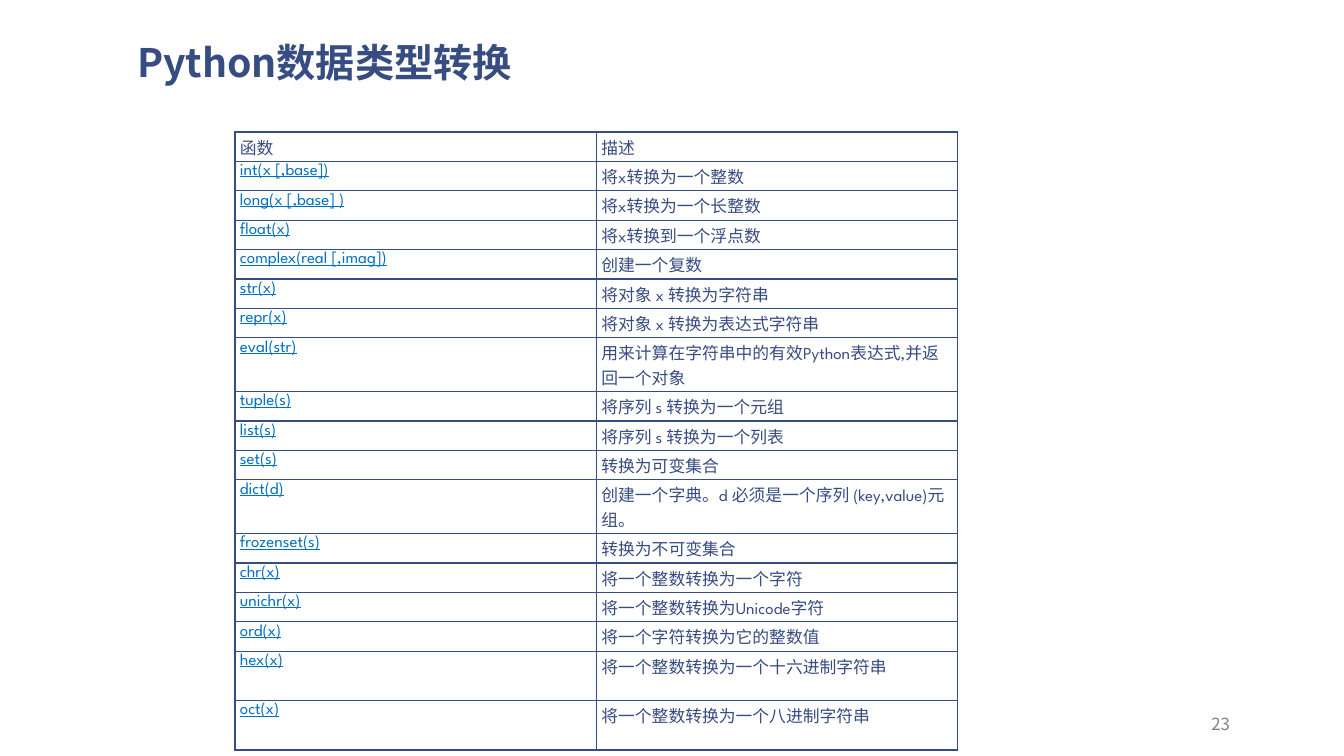
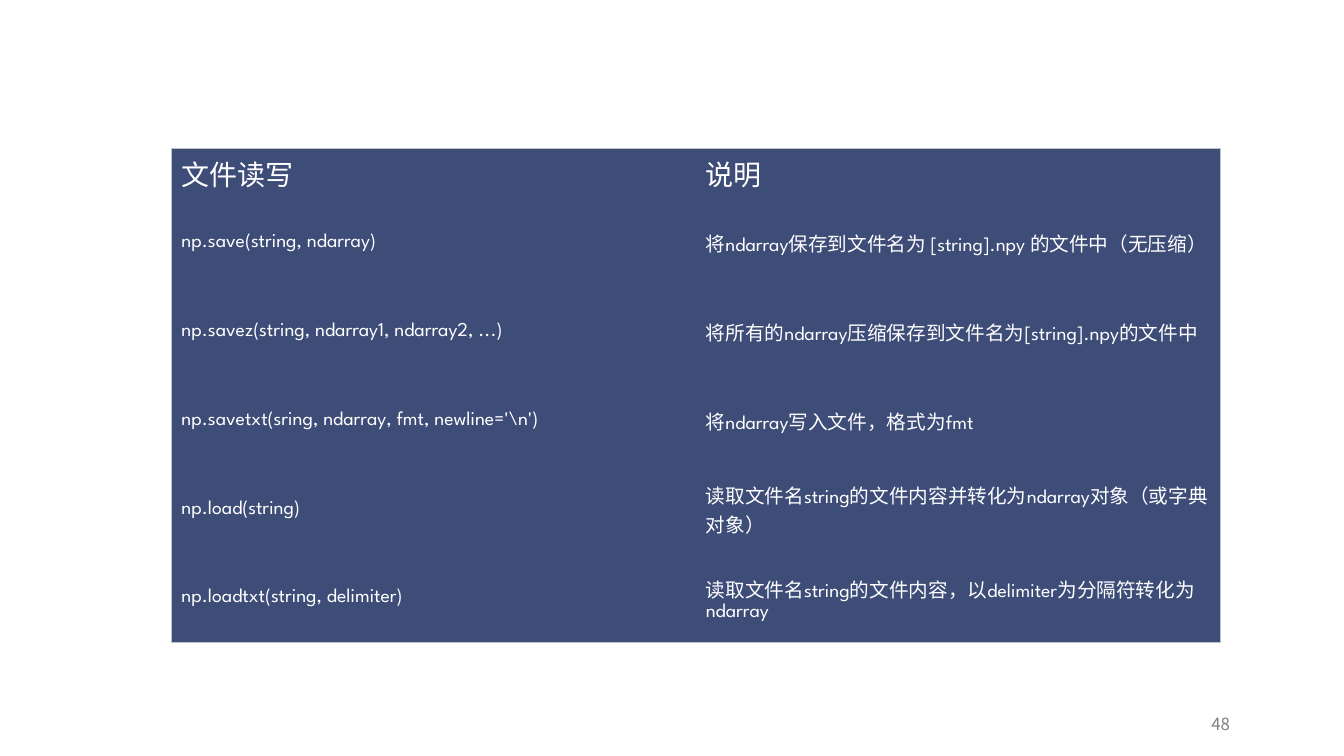
from dataclasses import dataclass

from lxml.etree import SubElement
from pptx import Presentation
from pptx.dml.color import RGBColor
from pptx.enum.text import MSO_ANCHOR as Anchor, MSO_AUTO_SIZE as AutoSize, PP_ALIGN as Align
from pptx.oxml.ns import qn
from pptx.util import Inches, Pt


@dataclass(frozen=True)
class Theme:
    navy: str = "374C81"
    panel: str = "3E4C78"
    link: str = "0070C0"
    white: str = "FFFFFF"
    edge: str = "C0C2CA"
    grey: str = "808080"
    latin: str = "League Spartan"
    cjk: str = "Noto Sans CJK SC"
    title: int = 28
    header: int = 20
    body: int = 14
    small: int = 12


T = Theme()
NO_GRID_STYLE = "{2D5ABB26-0587-4C30-8999-92F81FD0307C}"
TITLE_BOX = (1.23, 0.21, 11.11, 0.71)
NUMBER_BOX = (11.12, 7, 1.21, 0.35)

CONVERSIONS = [
    ("函数", "描述"),
    ("int(x [,base])", "将x转换为一个整数"),
    ("long(x [,base] )", "将x转换为一个长整数"),
    ("float(x)", "将x转换到一个浮点数"),
    ("complex(real [,imag])", "创建一个复数"),
    ("str(x)", "将对象 x 转换为字符串"),
    ("repr(x)", "将对象 x 转换为表达式字符串"),
    ("eval(str)", "用来计算在字符串中的有效Python表达式,并返回一个对象"),
    ("tuple(s)", "将序列 s 转换为一个元组"),
    ("list(s)", "将序列 s 转换为一个列表"),
    ("set(s)", "转换为可变集合"),
    ("dict(d)", "创建一个字典。d 必须是一个序列 (key,value)元组。"),
    ("frozenset(s)", "转换为不可变集合"),
    ("chr(x)", "将一个整数转换为一个字符"),
    ("unichr(x)", "将一个整数转换为Unicode字符"),
    ("ord(x)", "将一个字符转换为它的整数值"),
    ("hex(x)", "将一个整数转换为一个十六进制字符串"),
    ("oct(x)", "将一个整数转换为一个八进制字符串"),
]
TALL_ROWS = {"eval(str)", "dict(d)", "hex(x)", "oct(x)"}

FILE_IO = [
    ("文件读写", "说明"),
    ("np.save(string, ndarray)", "将ndarray保存到文件名为 [string].npy 的文件中（无压缩）"),
    ("np.savez(string, ndarray1, ndarray2, ...)", "将所有的ndarray压缩保存到文件名为[string].npy的文件中"),
    ("np.savetxt(sring, ndarray, fmt, newline='\\n')", "将ndarray写入文件，格式为fmt"),
    ("np.load(string)", "读取文件名string的文件内容并转化为ndarray对象（或字典对象）"),
    ("np.loadtxt(string, delimiter)", "读取文件名string的文件内容，以delimiter为分隔符转化为ndarray"),
]


def rgb(color):
    return RGBColor.from_string(color)


def write(tf, text, size=T.small, color=T.navy, font=T.latin, bold=False,
          underline=False, align=Align.LEFT, spacing=None):
    p = tf.paragraphs[0]
    p.alignment = align
    if spacing:
        p.line_spacing = spacing
    r = p.add_run()
    r.text = text
    f = r.font
    f.name, f.size, f.bold, f.underline = font, Pt(size), bold, underline
    f.color.rgb = rgb(color)
    SubElement(r._r.get_or_add_rPr(), qn("a:ea")).set("typeface", T.cjk)


def set_frame(s, box):
    s.left, s.top, s.width, s.height = map(Inches, box)
    tf = s.text_frame
    tf.word_wrap = True
    tf.auto_size = AutoSize.NONE
    tf.vertical_anchor = Anchor.BOTTOM
    tf.margin_left = tf.margin_right = Inches(0.13)
    tf.margin_top = tf.margin_bottom = Inches(0.07)
    return tf


def add_title(slide, text):
    write(set_frame(slide.shapes.title, TITLE_BOX), text, size=T.title,
          font=T.cjk, bold=True, spacing=0.85)


def add_number(slide, number):
    s = slide.shapes.add_textbox(*map(Inches, NUMBER_BOX))
    write(set_frame(s, NUMBER_BOX), str(number), color=T.grey, font=T.cjk, align=Align.RIGHT)


def set_borders(cell, sides, color, width):
    tcPr = cell._tc.get_or_add_tcPr()
    for side in "LRTB":
        ln = SubElement(tcPr, qn(f"a:ln{side}"), w=str(Pt(width)))
        if side in sides:
            fill = SubElement(ln, qn("a:solidFill"))
            SubElement(fill, qn("a:srgbClr"), val=color)
        else:
            SubElement(ln, qn("a:noFill"))


def add_grid(slide, box, heights, pad):
    frame = slide.shapes.add_table(len(heights), 2, *map(Inches, box))
    table = frame.table
    table.first_row = table.horz_banding = False
    table._tbl.tblPr.find(qn("a:tableStyleId")).text = NO_GRID_STYLE
    for col in table.columns:
        col.width = Inches(box[2] / 2)
    for row, height in zip(table.rows, heights):
        row.height = Inches(height)
    for cell in table.iter_cells():
        cell.margin_left = cell.margin_right = Inches(pad)
        cell.margin_top = cell.margin_bottom = Inches(pad / 2)
    return table


def add_conversion_table(slide, box):
    heights = [0.49 if name in TALL_ROWS else 0.27 for name, _ in CONVERSIONS]
    table = add_grid(slide, box, heights, 0.05)
    for i, texts in enumerate(CONVERSIONS):
        for j, text in enumerate(texts):
            cell = table.cell(i, j)
            linked = i > 0 and j == 0
            set_borders(cell, "LRTB", T.navy, 1)
            cell.fill.background()
            cell.vertical_anchor = Anchor.TOP if i else Anchor.MIDDLE
            write(cell.text_frame, text, color=T.link if linked else T.navy, underline=linked)


def add_file_table(slide, box):
    last = len(FILE_IO) - 1
    table = add_grid(slide, box, [0.49] + [0.88] * last, 0.1)
    for i, texts in enumerate(FILE_IO):
        for j, text in enumerate(texts):
            cell = table.cell(i, j)
            sides = "LR"[j] + ("T" if i == 0 else "B" if i == last else "")
            set_borders(cell, sides, T.edge, 0.5)
            cell.fill.solid()
            cell.fill.fore_color.rgb = rgb(T.panel)
            cell.vertical_anchor = Anchor.MIDDLE
            write(cell.text_frame, text, size=T.body if i else T.header, color=T.white)


def conversion_slide(prs):
    slide = prs.slides.add_slide(prs.slide_layouts[5])
    add_title(slide, "Python数据类型转换")
    add_conversion_table(slide, (2.33, 1.31, 7.17, 5.75))
    add_number(slide, 23)


def file_slide(prs):
    slide = prs.slides.add_slide(prs.slide_layouts[6])
    add_file_table(slide, (1.7, 1.47, 10.4, 4.89))
    add_number(slide, 48)


def main():
    prs = Presentation()
    prs.slide_width, prs.slide_height = Inches(13.33), Inches(7.5)
    conversion_slide(prs)
    file_slide(prs)
    prs.save("out.pptx")


if __name__ == "__main__":
    main()
